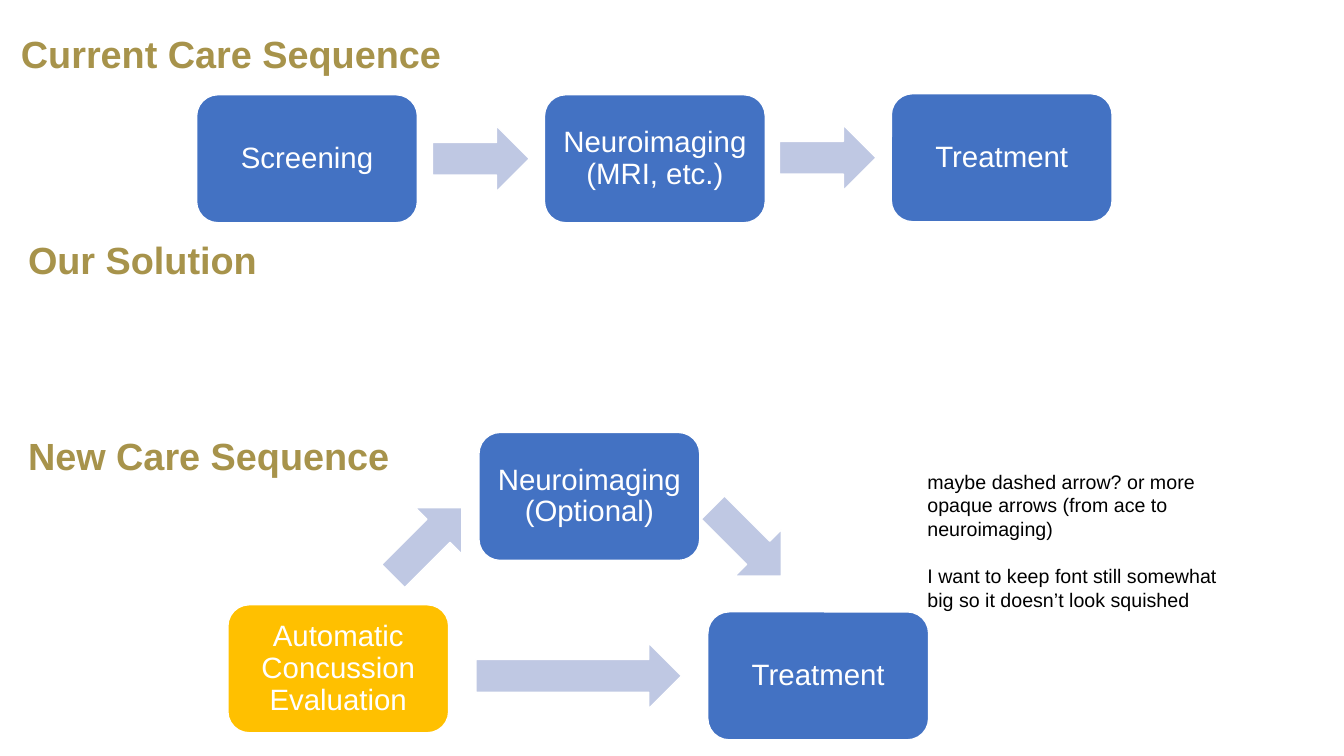
from pptx import Presentation
from pptx.dml.color import RGBColor
from pptx.enum.shapes import MSO_SHAPE
from pptx.enum.text import MSO_ANCHOR, PP_ALIGN
from pptx.util import Inches, Pt

COLORS = {
    "heading": "A7934B",
    "step": "4372C3",
    "highlight": "FFC000",
    "arrow": "BFC8E3",
    "white": "FFFFFF",
    "black": "000000",
}
STEP_SIZE = (2.19, 1.27)

deck = Presentation()
deck.slide_width, deck.slide_height = Inches(13.33), Inches(7.5)
page = deck.slides.add_slide(deck.slide_layouts[6])


def add_block(kind, left, top, width, height, color):
    block = page.shapes.add_shape(
        kind, Inches(left), Inches(top), Inches(width), Inches(height))
    block.shadow.inherit = False
    block.fill.solid()
    block.fill.fore_color.rgb = RGBColor.from_string(COLORS[color])
    block.line.color.rgb = RGBColor.from_string(COLORS["white"])
    block.line.width = Pt(1)
    return block


def write(box, paragraphs, size, color, margins, bold=False, **formats):
    """Fill a shape with paragraphs, each a list of lines."""
    frame = box.text_frame
    frame.word_wrap = True
    frame.margin_left = frame.margin_right = Inches(margins[0])
    frame.margin_top = frame.margin_bottom = Inches(margins[1])
    frame.vertical_anchor = formats.pop("anchor", MSO_ANCHOR.MIDDLE)
    for number, lines in enumerate(paragraphs):
        para = frame.add_paragraph() if number else frame.paragraphs[0]
        for name, value in formats.items():
            setattr(para, name, value)
        if number:
            para.space_before = Pt(17)
        for index, line in enumerate(lines):
            if index:
                para.add_line_break()
            span = para.add_run()
            span.text = line
            span.font.name = "Arial"
            span.font.size = Pt(size)
            span.font.bold = bold
            span.font.color.rgb = RGBColor.from_string(COLORS[color])


# Section headings
for heading, left, top in [
    ("Current Care Sequence", 0.11, 0),
    ("Our Solution", 0.18, 2.05),
    ("New Care Sequence", 0.18, 3.99),
]:
    box = page.shapes.add_textbox(
        Inches(left), Inches(top), Inches(4.63), Inches(1.11))
    write(box, [[heading]], 27, "heading", (0.1, 0.05), bold=True,
          line_spacing=0.9)

# Arrows between the steps
for left, top, width, rotation in [
    (4.29, 1.25, 0.96, 0),
    (7.73, 1.24, 0.96, 0),
    (3.76, 5.05, 0.96, 315),
    (6.93, 5.05, 0.96, 45),
    (4.72, 6.38, 2.04, 0),
]:
    arrow = add_block(MSO_SHAPE.RIGHT_ARROW, left, top, width, 0.65, "arrow")
    arrow.rotation = rotation

# Steps of the current and the new sequence
for lines, left, top, color in [
    (["Screening"], 1.95, 0.94, "step"),
    (["Neuroimaging", "(MRI, etc.)"], 5.4, 0.94, "step"),
    (["Treatment"], 8.84, 0.93, "step"),
    (["Neuroimaging", "(Optional)"], 4.75, 4.29, "step"),
    (["Automatic Concussion Evaluation"], 2.26, 6, "highlight"),
    (["Treatment"], 7.02, 6.07, "step"),
]:
    step = add_block(MSO_SHAPE.ROUNDED_RECTANGLE, left, top, *STEP_SIZE, color)
    write(step, [lines], 21, "white", (0.09, 0.09),
          alignment=PP_ALIGN.CENTER, line_spacing=0.9)

# Side note
note = page.shapes.add_textbox(
    Inches(9.1), Inches(4.56), Inches(3.3), Inches(1.62))
write(note, [
    ["maybe dashed arrow? or more opaque arrows (from ace to neuroimaging)"],
    ["I want to keep font still somewhat big so it doesn’t look squished"],
], 14, "black", (0.1, 0.1), anchor=MSO_ANCHOR.TOP)

deck.save("out.pptx")
